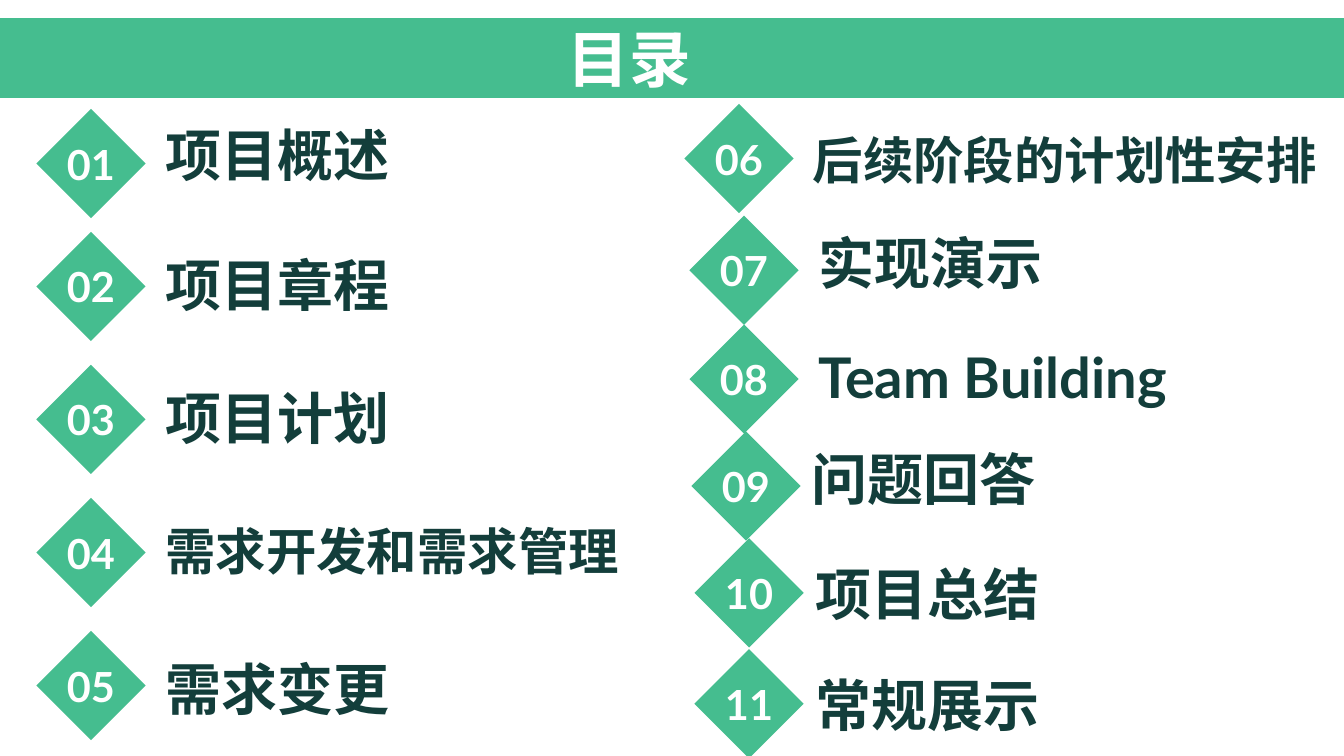
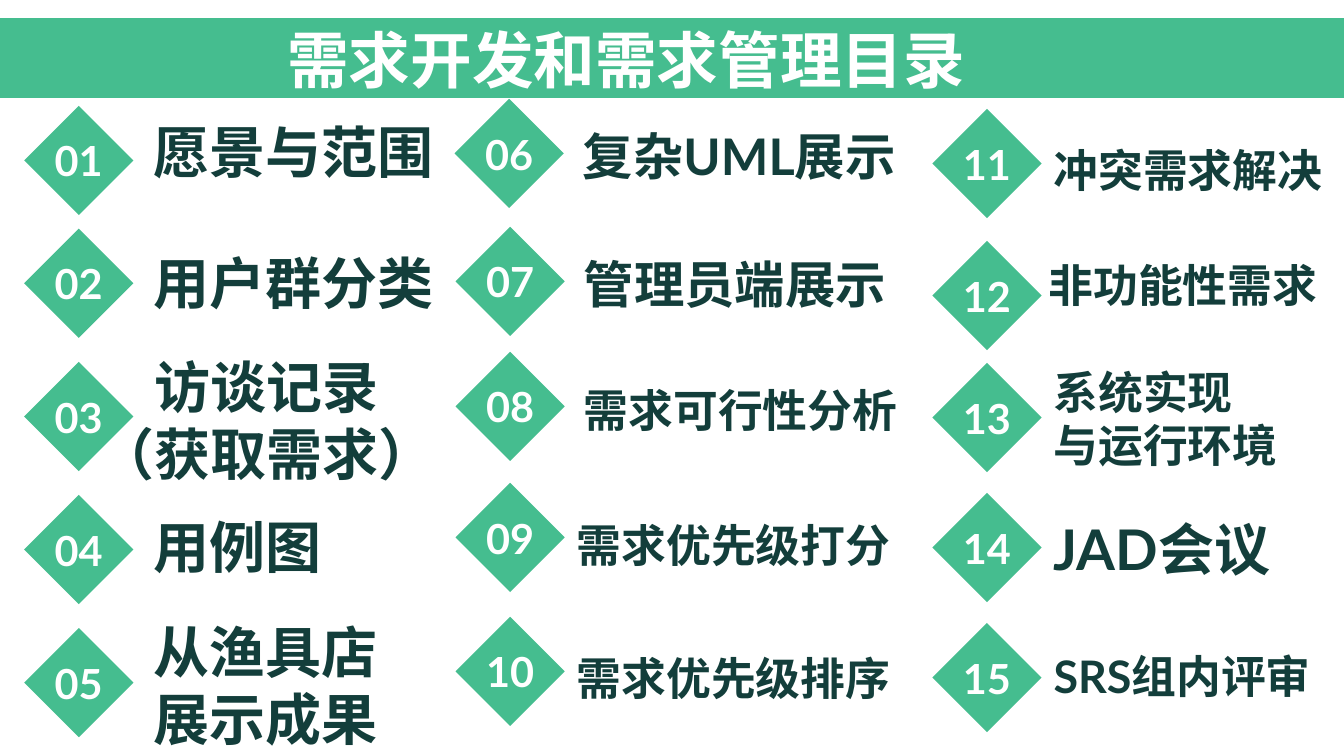
"""Build two contents slides with numbered diamonds under a title band."""
from dataclasses import dataclass

from pptx import Presentation
from pptx.dml.color import RGBColor
from pptx.enum.shapes import MSO_SHAPE
from pptx.enum.text import MSO_ANCHOR, PP_ALIGN
from pptx.util import Pt

DIAMOND, RECT = MSO_SHAPE.DIAMOND, MSO_SHAPE.RECTANGLE
MIDDLE, BOTTOM = MSO_ANCHOR.MIDDLE, MSO_ANCHOR.BOTTOM
LEFT, CENTER = PP_ALIGN.LEFT, PP_ALIGN.CENTER


@dataclass(frozen=True)
class Theme:
    green: RGBColor = RGBColor(0x45, 0xBD, 0x8F)
    dark: RGBColor = RGBColor(0x13, 0x3E, 0x3B)
    white: RGBColor = RGBColor(0xFF, 0xFF, 0xFF)
    font: str = "Lato"
    title: float = 44
    large: float = 40
    medium: float = 36
    small: float = 32
    number: float = 29.6


T = Theme()
SLIDE_W, SLIDE_H = 960, 540
BAND_TOP, BAND_H = 13, 57
SIDE = 78
INDENT = 37.5
LINE = 1.2


@dataclass(frozen=True)
class Item:
    text: str
    top: float
    bottom: float
    size: float = T.large
    diamond_dx: float = 0
    text_dx: float = 0
    align: PP_ALIGN = LEFT


@dataclass(frozen=True)
class Column:
    diamond_x: float
    text_x: float
    width: float
    items: tuple[Item, ...]


@dataclass(frozen=True)
class Contents:
    title: str
    title_x: float
    title_w: float
    title_bottom: float
    columns: tuple[Column, ...]


PAGES = (
    Contents("目录", 368, 163, 67.7, (
        Column(26, 80.6, 381, (
            Item("项目概述", 77.8, 133.9),
            Item("项目章程", 165.6, 226.8),
            Item("项目计划", 260.6, 321.8),
            Item("需求开发和需求管理", 355.7, 414.7, T.medium),
            Item("需求变更", 450.7, 515.5),
        )),
        Column(492.5, 545, 405, (
            Item("后续阶段的计划性安排", 74.2, 135.4, T.medium, -3.6, -2),
            Item("实现演示", 154.1, 211, text_dx=2),
            Item("Team Building", 231.8, 293, text_dx=2),
            Item("问题回答", 308.2, 365.8, diamond_dx=1.4, text_dx=-2.8),
            Item("项目总结", 384.5, 447.8, diamond_dx=3.6),
            Item("常规展示", 463.7, 527, diamond_dx=3.6),
        )),
    )),
    Contents("需求开发和需求管理目录", 167.8, 523, 68.4, (
        Column(17.3, 72, 281, (
            Item("愿景与范围", 75.6, 131.8),
            Item("用户群分类", 163.4, 225.4),
            Item("访谈记录\n（获取需求）", 258.5, 347.8, text_dx=-41, align=CENTER),
            Item("用例图", 353.5, 414),
            Item("从渔具店\n展示成果", 448.6, 537.1),
        )),
        Column(325.4, 379.4, 281, (
            Item("复杂UML展示", 70.6, 132.5, T.medium, -0.7, -0.7),
            Item("管理员端展示", 162, 223.9, T.medium),
            Item("需求可行性分析", 251.3, 311.8, T.small),
            Item("需求优先级打分", 344.9, 408.2, T.small, text_dx=-5),
            Item("需求优先级排序", 440.6, 503.3, T.small, text_dx=-5),
        )),
        Column(666, 715, 245, (
            Item("冲突需求解决", 77.8, 140.4, T.small),
            Item("非功能性需求", 172.1, 222.5, T.small, text_dx=-3.6),
            Item("系统实现\n与运行环境", 259.2, 337, T.small),
            Item("JAD会议", 352.1, 415.4),
            Item("SRS组内评审", 445, 501.8, T.small),
        )),
    )),
)


def write(s, text: str, size: float, color: RGBColor, align: PP_ALIGN,
          anchor: MSO_ANCHOR, insets: tuple[float, float, float, float]) -> None:
    tf = s.text_frame
    tf.word_wrap = False
    tf.vertical_anchor = anchor
    tf.margin_left, tf.margin_top, tf.margin_right, tf.margin_bottom = map(Pt, insets)
    tf.text = text
    for p in tf.paragraphs:
        p.alignment = align
        p.font.name, p.font.size, p.font.bold = T.font, Pt(size), True
        p.font.color.rgb = color


def add_green(slide, kind: MSO_SHAPE, x: float, y: float, w: float, h: float):
    s = slide.shapes.add_shape(kind, Pt(x), Pt(y), Pt(w), Pt(h))
    s.shadow.inherit = False
    s.fill.solid()
    s.fill.fore_color.rgb = T.green
    s.line.fill.background()
    return s


def add_label(slide, text: str, x: float, bottom: float, w: float, size: float,
              color: RGBColor = T.dark, align: PP_ALIGN = LEFT) -> None:
    h = len(text.split("\n")) * size * LINE
    s = slide.shapes.add_textbox(Pt(x), Pt(bottom - h), Pt(w), Pt(h))
    write(s, text, size, color, align, BOTTOM, (INDENT, 0, 0, 0))


def add_item(slide, column: Column, item: Item, number: int) -> None:
    s = add_green(slide, DIAMOND, column.diamond_x + item.diamond_dx, item.top, SIDE, SIDE)
    write(s, f"{number:02d}", T.number, T.white, CENTER, MIDDLE, (9.5, 5, 9.5, 5))
    add_label(slide, item.text, column.text_x + item.text_dx, item.bottom,
              column.width, item.size, align=item.align)


def add_contents(prs, page: Contents) -> None:
    slide = prs.slides.add_slide(prs.slide_layouts[6])
    add_green(slide, RECT, 0, BAND_TOP, SLIDE_W, BAND_H)
    add_label(slide, page.title, page.title_x, page.title_bottom, page.title_w,
              T.title, T.white)
    entries = [(column, item) for column in page.columns for item in column.items]
    for number, (column, item) in enumerate(entries, 1):
        add_item(slide, column, item, number)


def main() -> None:
    prs = Presentation()
    prs.slide_width, prs.slide_height = Pt(SLIDE_W), Pt(SLIDE_H)
    for page in PAGES:
        add_contents(prs, page)
    prs.save("out.pptx")


if __name__ == "__main__":
    main()
